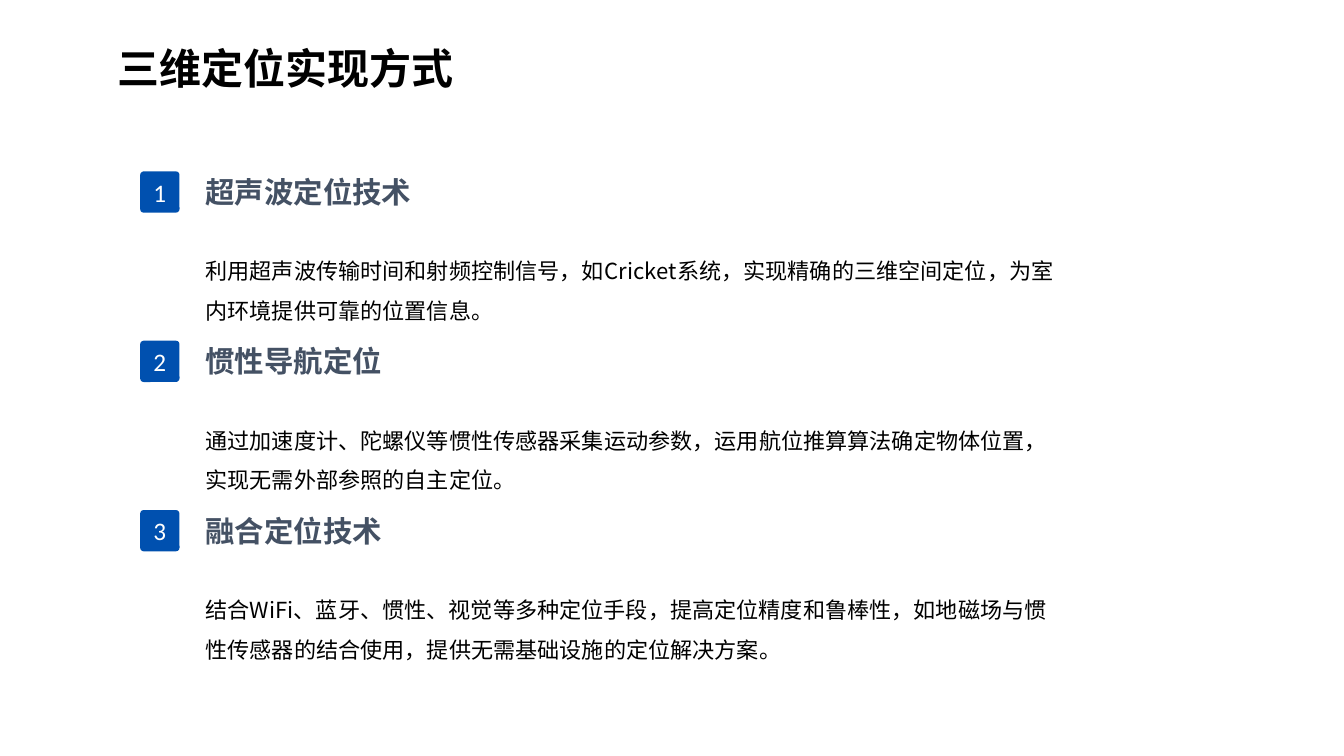
"""Build the slide on three ways to achieve 3D positioning."""
import pptx
import pptx.dml.color
import pptx.enum.shapes
import pptx.enum.text
import pptx.util

Inches, Pt = pptx.util.Inches, pptx.util.Pt
RGBColor = pptx.dml.color.RGBColor
ALIGN = pptx.enum.text.PP_ALIGN
MIDDLE = pptx.enum.text.MSO_ANCHOR.MIDDLE
NO_FIT = pptx.enum.text.MSO_AUTO_SIZE.NONE

HEADLINE = "三维定位实现方式"
METHODS = [
    ("超声波定位技术",
     "利用超声波传输时间和射频控制信号，如Cricket系统，实现精确的三维空间定位，为室内环境提供可靠的位置信息。"),
    ("惯性导航定位",
     "通过加速度计、陀螺仪等惯性传感器采集运动参数，运用航位推算算法确定物体位置，实现无需外部参照的自主定位。"),
    ("融合定位技术",
     "结合WiFi、蓝牙、惯性、视觉等多种定位手段，提高定位精度和鲁棒性，如地磁场与惯性传感器的结合使用，提供无需基础设施的定位解决方案。"),
]

BLACK = RGBColor(0x00, 0x00, 0x00)
WHITE = RGBColor(0xFF, 0xFF, 0xFF)
SLATE = RGBColor(0x44, 0x51, 0x64)
BLUE = RGBColor(0x00, 0x50, 0xAF)

CJK = "Noto Sans CJK SC"
HEADLINE_FONT = {"name": CJK, "size": Pt(30), "bold": True}
METHOD_FONT = {"name": CJK, "size": Pt(21), "bold": True}
DETAIL_FONT = {"name": CJK, "size": Pt(15.8), "bold": False}
NUMBER_FONT = {"name": "Calibri", "size": Pt(18), "bold": False}
HEADLINE_LINES = {"alignment": ALIGN.LEFT, "line_spacing": 1.5}
METHOD_LINES = {"alignment": ALIGN.LEFT, "space_after": Pt(25)}
DETAIL_LINES = {"alignment": ALIGN.LEFT, "line_spacing": 1.5}
NUMBER_LINES = {"alignment": ALIGN.CENTER}
FRAME = {"word_wrap": True, "auto_size": NO_FIT, "vertical_anchor": MIDDLE}
TIGHT = {"margin_left": 0, "margin_right": 0, "margin_top": 0, "margin_bottom": 0}

FIRST_TOP, STEP = 1.7, 1.68


def apply(target, values):
    """Set each named attribute on the target."""
    for name, value in values.items():
        setattr(target, name, value)


def write(paragraph, words, lines, font, color):
    """Put formatted words in a paragraph."""
    run = paragraph.add_run()
    run.text = words
    apply(paragraph, lines)
    apply(run.font, font)
    run.font.color.rgb = color


def add_method(slide, number, method, detail):
    """Add one numbered method with its explanation."""
    top = Inches(FIRST_TOP + (number - 1) * STEP)
    frame = slide.shapes.add_textbox(Inches(1.94), top, Inches(8.77), Inches(1.54)).text_frame
    apply(frame, FRAME)
    write(frame.paragraphs[0], method, METHOD_LINES, METHOD_FONT, SLATE)
    write(frame.add_paragraph(), detail, DETAIL_LINES, DETAIL_FONT, BLACK)

    badge = slide.shapes.add_shape(
        pptx.enum.shapes.MSO_SHAPE.ROUNDED_RECTANGLE,
        Inches(1.39), top, Inches(0.39), Inches(0.41))
    badge.adjustments[0] = 0.09
    badge.shadow.inherit = False
    badge.fill.solid()
    badge.fill.fore_color.rgb = BLUE
    badge.line.fill.background()
    apply(badge.text_frame, {**FRAME, **TIGHT})
    write(badge.text_frame.paragraphs[0], str(number), NUMBER_LINES, NUMBER_FONT, WHITE)


def main():
    """Create and save the presentation."""
    deck = pptx.Presentation()
    apply(deck, {"slide_width": Inches(13.33), "slide_height": Inches(7.5)})
    slide = deck.slides.add_slide(deck.slide_layouts[5])
    headline = slide.shapes.title
    apply(headline, {"left": Inches(1.07), "top": Inches(0.12),
                     "width": Inches(10.25), "height": Inches(0.85)})
    apply(headline.text_frame, FRAME)
    write(headline.text_frame.paragraphs[0], HEADLINE, HEADLINE_LINES, HEADLINE_FONT, BLACK)
    for number, (method, detail) in enumerate(METHODS, 1):
        add_method(slide, number, method, detail)
    deck.save("out.pptx")


if __name__ == "__main__":
    main()
